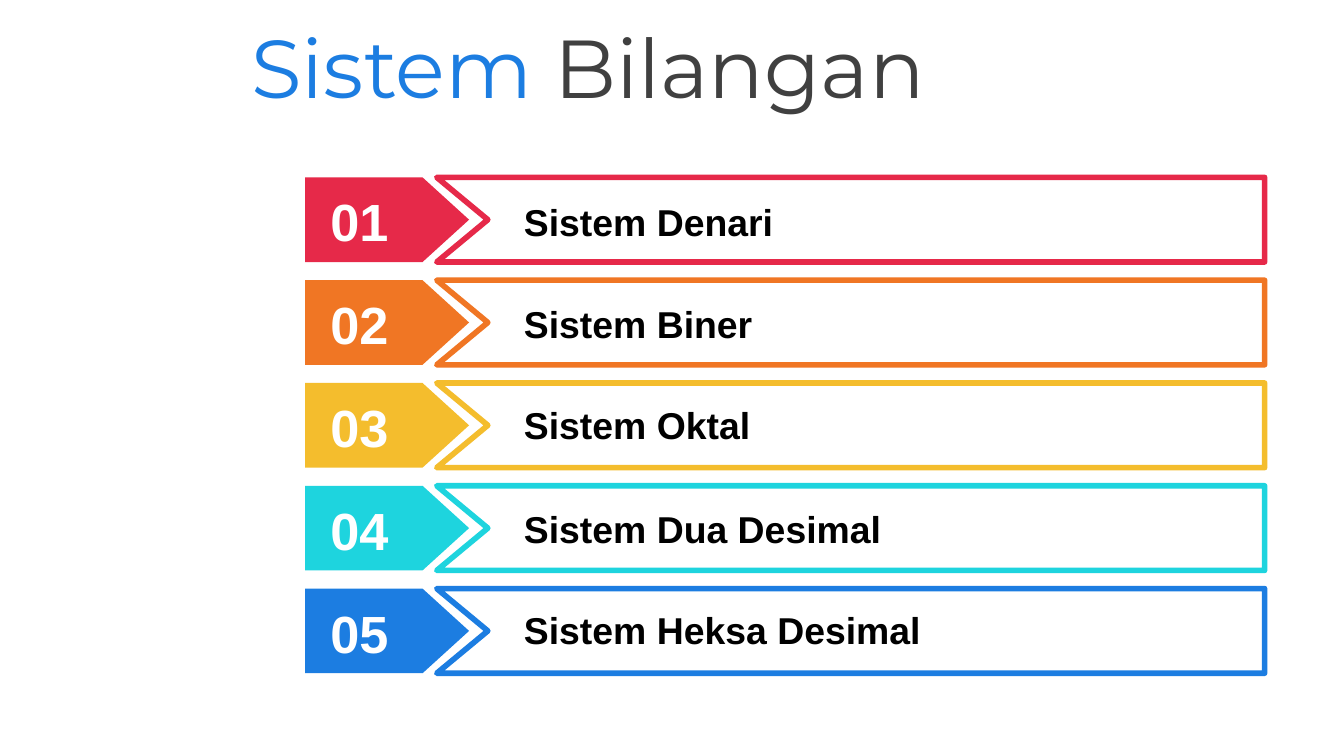
from lxml import etree
from pptx import Presentation
from pptx import util as u
from pptx.dml.color import RGBColor
from pptx.enum import shapes, text
from pptx.oxml.ns import qn

ROWS = [
    ("Sistem Denari", "E62949", 0.11),
    ("Sistem Biner", "F07624", 0.11),
    ("Sistem Oktal", "F4BD2D", 0.09),
    ("Sistem Dua Desimal", "1ED4DE", 0.1),
    ("Sistem Heksa Desimal", "1C7DE1", 0.09),
]
PAGE_WIDTH = 10
FIRST_TOP, LAST_TOP = 1.32, 4.38
ROW_LEFT, ROW_WIDTH, ROW_HEIGHT = 2.27, 7.14, 0.63


def rgb(value):
    return RGBColor.from_string(value)


def fill(shape, color):
    shape.fill.solid()
    shape.fill.fore_color.rgb = rgb(color)
    shape.shadow.inherit = False


def add_span(para, words, size, font, color, bold=False):
    span = para.add_run()
    span.text = words
    span.font.size = u.Pt(size)
    span.font.name = font
    span.font.bold = bold
    span.font.color.rgb = rgb(color)


def add_label(page, box, words, size, color):
    label = page.shapes.add_textbox(*map(u.Inches, box))
    frame = label.text_frame
    frame.word_wrap = True
    frame.auto_size = text.MSO_AUTO_SIZE.SHAPE_TO_FIT_TEXT
    add_span(frame.paragraphs[0], words, size, "Arial", color, True)
    return frame


def add_title(page, box):
    title = page.shapes.title
    title.left, title.top, title.width, title.height = map(u.Inches, box)
    frame = title.text_frame
    frame.auto_size = text.MSO_AUTO_SIZE.NONE
    frame.vertical_anchor = text.MSO_ANCHOR.MIDDLE
    para = frame.paragraphs[0]
    para.alignment = text.PP_ALIGN.LEFT
    add_span(para, "Sistem ", 44, "Montserrat", "1C7DE1")
    add_span(para, "Bilangan", 44, "Montserrat", "404040")


def add_row(page, box, number, words, color, label_drop):
    left, top, width, height = box
    arrow = page.shapes.add_shape(
        shapes.MSO_SHAPE.PENTAGON, *map(u.Inches, (left, top, 1.22, height)))
    arrow.adjustments[0] = 0.55
    fill(arrow, color)
    arrow.line.fill.background()

    bar_left, right, bottom = left + 0.98, left + width, top + height
    corners = [(right, top), (right, bottom), (bar_left, bottom),
               (bar_left + 0.38, top + height / 2)]
    outline = page.shapes.build_freeform(u.Inches(bar_left), u.Inches(top))
    outline.add_line_segments(
        [(u.Inches(x), u.Inches(y)) for x, y in corners], close=True)
    bar = outline.convert_to_shape()
    fill(bar, "FFFFFF")
    bar.line.color.rgb = rgb(color)
    bar.line.width = u.Pt(3)
    etree.SubElement(bar.element.spPr.find(qn("a:ln")), qn("a:round"))

    frame = add_label(page, (left + 0.09, top + 0.09, 0.66, 0.47),
                      f"{number:02}", 28, "FFFFFF")
    frame.margin_top = frame.margin_bottom = 0
    frame.vertical_anchor = text.MSO_ANCHOR.MIDDLE
    add_label(page, (left + 1.53, top + label_drop, 5.3, 0.44),
              words, 20, "000000")


def main():
    deck = Presentation()
    deck.slide_width = u.Inches(PAGE_WIDTH)
    deck.slide_height = u.Inches(PAGE_WIDTH * 9 / 16)
    page = deck.slides.add_slide(deck.slide_layouts.get_by_name("Title Only"))
    add_title(page, (1.77, 0, 8.23, 0.97))
    pitch = (LAST_TOP - FIRST_TOP) / (len(ROWS) - 1)
    for index, (words, color, label_drop) in enumerate(ROWS):
        box = (ROW_LEFT, FIRST_TOP + index * pitch, ROW_WIDTH, ROW_HEIGHT)
        add_row(page, box, index + 1, words, color, label_drop)
    deck.save("out.pptx")


if __name__ == "__main__":
    main()
